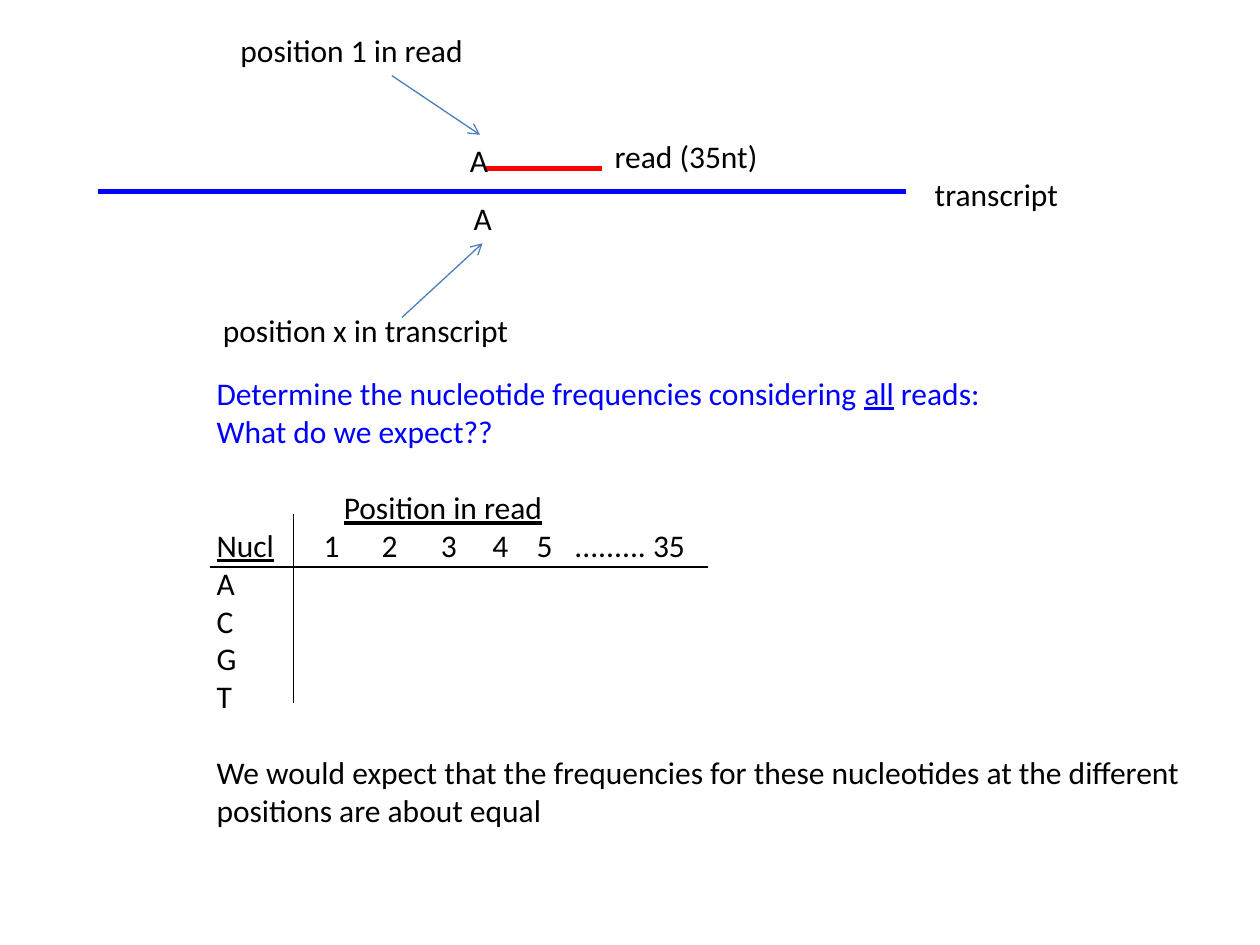
import dataclasses

import lxml.etree
import pptx
import pptx.dml.color
import pptx.enum.shapes
import pptx.enum.text
import pptx.oxml.ns
import pptx.util

Inches, Pt = pptx.util.Inches, pptx.util.Pt
RGB = pptx.dml.color.RGBColor.from_string
qn = pptx.oxml.ns.qn


@dataclasses.dataclass
class Theme:
    font: str = "Calibri"
    size: int = 18
    line_gap: int = 22
    text: str = "000000"
    blue: str = "0000FF"
    red: str = "FF0000"
    arrow: str = "4B7EBC"
    thick: float = 3
    thin: float = 0.75


class SlideBuilder:
    def __init__(self, slide, theme):
        self.s, self.theme = slide, theme

    def text(self, left, top, width, height, paragraphs):
        """Each paragraph is a dict: runs, and optionally color, gap and tabs.

        A run is (text, underlined)."""
        t = self.theme
        sp = self.s.shapes.add_textbox(*map(Inches, (left, top, width, height)))
        tf = sp.text_frame
        tf.word_wrap = False
        tf.auto_size = pptx.enum.text.MSO_AUTO_SIZE.SHAPE_TO_FIT_TEXT
        for i, item in enumerate(paragraphs):
            p = tf.add_paragraph() if i else tf.paragraphs[0]
            if item.get("gap"):
                p.space_before = Pt(t.line_gap)
            if item.get("tabs"):
                self.tab_stops(p, item["tabs"])
            for text, underlined in item["runs"]:
                r = p.add_run()
                r.text = text
                style = {"name": t.font, "size": Pt(t.size), "underline": underlined}
                for name, value in style.items():
                    setattr(r.font, name, value)
                r.font.color.rgb = RGB(item.get("color", t.text))
        return sp

    def label(self, text, left, top, width):
        return self.text(left, top, width, 0.4, [{"runs": [(text, False)]}])

    def tab_stops(self, p, stops):
        tabs = lxml.etree.SubElement(p._p.get_or_add_pPr(), qn("a:tabLst"))
        for stop in stops:
            lxml.etree.SubElement(tabs, qn("a:tab"), pos=str(Inches(stop)), algn="l")

    def line(self, x1, y1, x2, y2, color, width, arrow=False):
        cx = self.s.shapes.add_connector(
            pptx.enum.shapes.MSO_CONNECTOR.STRAIGHT, *map(Inches, (x1, y1, x2, y2)))
        cx.line.color.rgb = RGB(color)
        cx.line.width = Pt(width)
        if arrow:
            lxml.etree.SubElement(cx.line._get_or_add_ln(), qn("a:tailEnd"), type="arrow")
        lxml.etree.SubElement(cx._element.spPr, qn("a:effectLst"))
        return cx


def main():
    prs = pptx.Presentation()
    prs.slide_width, prs.slide_height = Inches(10), Inches(7.5)
    theme = Theme()
    b = SlideBuilder(prs.slides.add_slide(prs.slide_layouts[6]), theme)

    # Transcript and the read aligned above it
    b.line(0.78, 1.52, 7.19, 1.52, theme.blue, theme.thick)
    b.label("transcript", 7.32, 1.34, 1.19)
    b.label("read (35nt)", 4.78, 1.04, 1.35)
    b.line(3.86, 1.34, 4.78, 1.34, theme.red, theme.thick)

    # Matching nucleotides and the arrows that name their positions
    b.label("A", 3.66, 1.53, 0.35)
    b.label("A", 3.63, 1.07, 0.35)
    b.label("position 1 in read", 1.81, 0.2, 1.99)
    b.line(3.11, 0.6, 3.81, 1.07, theme.arrow, theme.thin, arrow=True)
    b.label("position x in transcript", 1.67, 2.42, 2.49)
    b.line(3.19, 2.52, 3.83, 1.93, theme.arrow, theme.thin, arrow=True)

    # Question, frequency grid and expected answer
    positions = ["1", "2", "3", "4", "5", "......... 35"]
    question = [
        {"color": theme.blue,
         "runs": [("Determine the nucleotide frequencies considering ", False),
                  ("all", True), (" reads:", False)]},
        {"color": theme.blue, "runs": [("What do we expect??", False)]},
    ]
    grid = [
        {"gap": True, "tabs": [1.01],
         "runs": [("\t", False), ("Position in read", True)]},
        {"tabs": [0.85, 1.31, 1.78, 2.19, 2.54, 2.84],
         "runs": [("Nucl", True), ("\t" + "\t".join(positions), False)]},
    ] + [{"runs": [(nucleotide, False)]} for nucleotide in "ACGT"]
    answer = [
        {"gap": True,
         "runs": [("We would expect that the frequencies for these "
                   "nucleotides at the different", False)]},
        {"runs": [("positions are about equal", False)]},
    ]
    b.text(1.62, 2.92, 7.95, 3.74, question + grid + answer)

    # Rules of the frequency grid
    b.line(2.33, 4.08, 2.33, 5.58, theme.text, theme.thin)
    b.line(1.67, 4.5, 5.62, 4.5, theme.text, theme.thin)

    prs.save("out.pptx")


if __name__ == "__main__":
    main()
